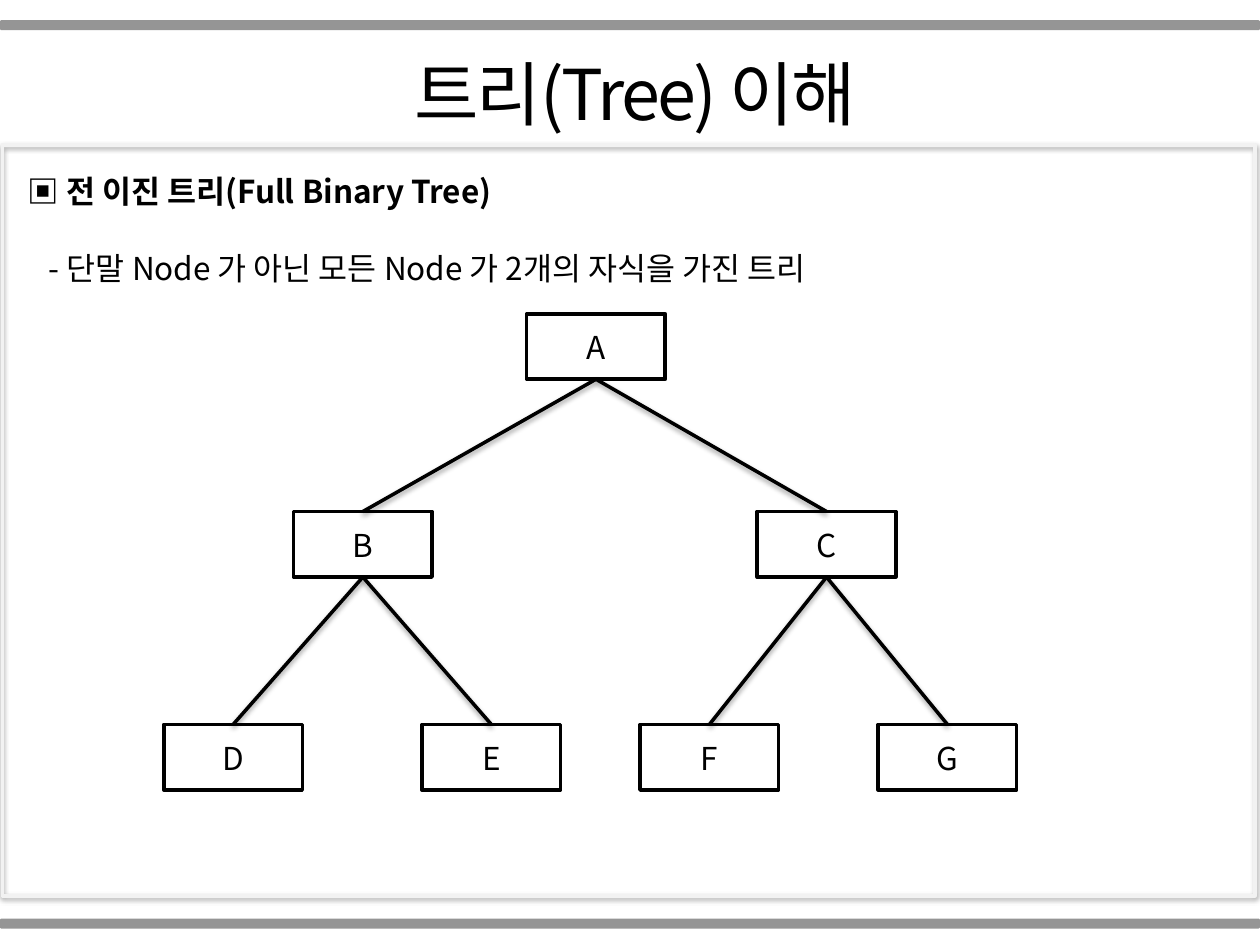
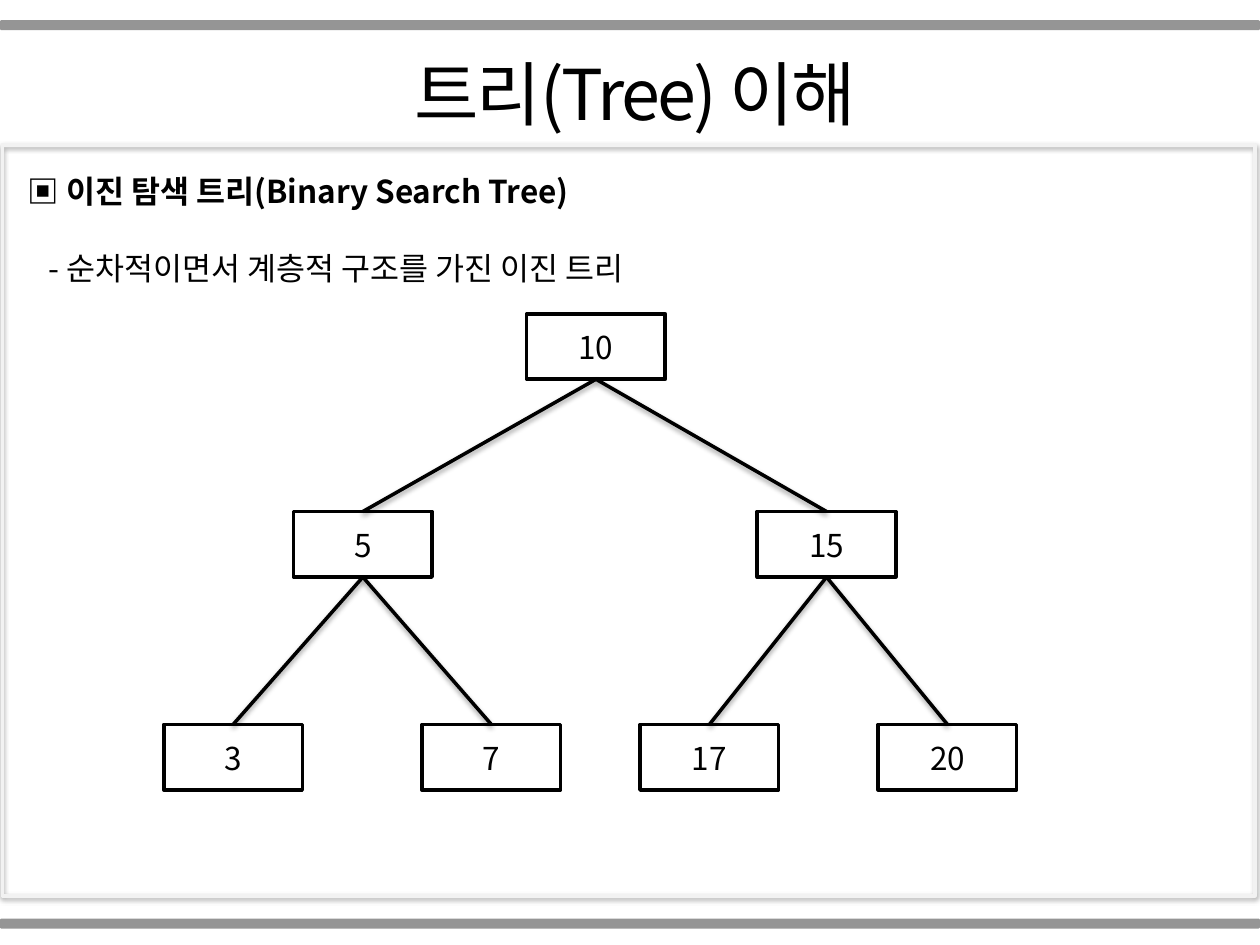
"""Build two slides on full binary trees and binary search trees."""
from lxml.etree import SubElement as Sub
from pptx import Presentation
from pptx.dml.color import RGBColor as RGB
from pptx.enum.shapes import MSO_CONNECTOR as Link, MSO_SHAPE as Kind
from pptx.enum.text import MSO_ANCHOR as Anchor, PP_ALIGN as Align
from pptx.oxml.ns import qn
from pptx.util import Inches, Pt

BLACK = RGB(0x00, 0x00, 0x00)
WHITE = RGB(0xFF, 0xFF, 0xFF)
GREY = RGB(0x80, 0x80, 0x80)
PALE = RGB(0xF2, 0xF2, 0xF2)
FONT = "Noto Sans CJK KR"
COLS, ROWS = 100, 75
NODE_W, NODE_H = 11, 5.2
LEVELS = [24.9, 40.6, 57.5]
CENTRES = [[47.3], [28.8, 65.6], [18.5, 39, 56.3, 75.2]]
TITLE = " 트리(Tree) 이해"
PAGES = [
    ("▣ 전 이진 트리(Full Binary Tree)",
     "- 단말 Node 가 아닌 모든 Node 가 2개의 자식을 가진 트리",
     ["A", "B", "C", "D", "E", "F", "G"]),
    ("▣ 이진 탐색 트리(Binary Search Tree)",
     "- 순차적이면서 계층적 구조를 가진 이진 트리",
     ["10", "5", "15", "3", "7", "17", "20"]),
]


class Deck:
    def __init__(self):
        self.show = Presentation()
        self.show.slide_width = Inches(10)
        self.show.slide_height = Inches(7.5)
        self.page = None

    def spot(self, x, y, w, h):
        wide = self.show.slide_width / COLS
        high = self.show.slide_height / ROWS
        return [round(n) for n in (x * wide, y * high, w * wide, h * high)]

    def words(self, para, text, size=18, pitch=22, bold=False, align=Align.LEFT):
        para.alignment = align
        para.line_spacing = Pt(pitch)
        run = para.add_run()
        run.text = text
        font = run.font
        font.name, font.size, font.bold = FONT, Pt(size), bold
        font.color.rgb = BLACK
        props = run._r.get_or_add_rPr()
        Sub(props, qn("a:ea"), typeface=FONT)
        return props

    def shape(self, kind, box, fill=None, line=None):
        shape = self.page.shapes.add_shape(kind, *self.spot(*box))
        if fill is None:
            shape.fill.background()
        else:
            shape.fill.solid()
            shape.fill.fore_color.rgb = fill
        if line is None:
            shape.line.fill.background()
        else:
            shape.line.color.rgb = line
            shape.line.width = Pt(2)
        return shape

    def shade(self, shape):
        effect = Sub(shape._element.spPr, qn("a:effectLst"))
        drop = Sub(effect, qn("a:outerShdw"), blurRad=str(Pt(3.1)),
                   dist=str(Pt(1.6)), dir="5400000", rotWithShape="0")
        tint = Sub(drop, qn("a:srgbClr"), val="000000")
        Sub(tint, qn("a:alpha"), val="38000")

    def band(self, top):
        bar = self.shape(Kind.ROUNDED_RECTANGLE, (0, top, COLS, 0.8), GREY)
        bar.shadow.inherit = False
        tint = bar._element.spPr.find(qn("a:solidFill"))[0]
        Sub(tint, qn("a:alpha"), val="83000")

    def start(self, title):
        self.page = self.show.slides.add_slide(self.show.slide_layouts[5])
        self.shade(self.shape(Kind.RECTANGLE, (0.2, 11.5, 99.4, 59.6), line=PALE))
        self.band(1.6)
        self.band(72.9)
        head = self.page.shapes.title
        head.left, head.top, head.width, head.height = self.spot(0.2, 3.1, 99.4, 7.7)
        frame = head.text_frame
        frame.word_wrap = True
        frame.vertical_anchor = Anchor.TOP
        props = self.words(frame.paragraphs[0], title, 40, 51, align=Align.CENTER)
        props.set("spc", "-150")

    def notion(self, term, sense):
        box = self.page.shapes.add_textbox(*self.spot(1.2, 13.1, 98.8, 10.1))
        frame = box.text_frame
        frame.word_wrap = True
        self.words(frame.paragraphs[0], term, bold=True)
        para = frame.add_paragraph()
        para.space_before = Pt(22)
        para._p.get_or_add_pPr().set("marL", str(Inches(0.17)))
        self.words(para, sense)

    def node(self, mid, top, text):
        box = (mid - NODE_W / 2, top, NODE_W, NODE_H)
        node = self.shape(Kind.RECTANGLE, box, WHITE, BLACK)
        node.shadow.inherit = False
        frame = node.text_frame
        frame.vertical_anchor = Anchor.MIDDLE
        self.words(frame.paragraphs[0], text, align=Align.CENTER)
        return node

    def edge(self, parent, child):
        line = self.page.shapes.add_connector(Link.STRAIGHT, 0, 0, 0, 0)
        line.begin_connect(parent, 2)
        line.end_connect(child, 0)
        line.line.color.rgb = BLACK
        line.line.width = Pt(2)
        self.shade(line)

    def tree(self, keys):
        spots = [(mid, top) for top, mids in zip(LEVELS, CENTRES) for mid in mids]
        nodes = [self.node(*spot, key) for spot, key in zip(spots, keys)]
        for n, child in enumerate(nodes[1:]):
            self.edge(nodes[n // 2], child)


deck = Deck()
for term, sense, keys in PAGES:
    deck.start(TITLE)
    deck.notion(term, sense)
    deck.tree(keys)
deck.show.save("out.pptx")
